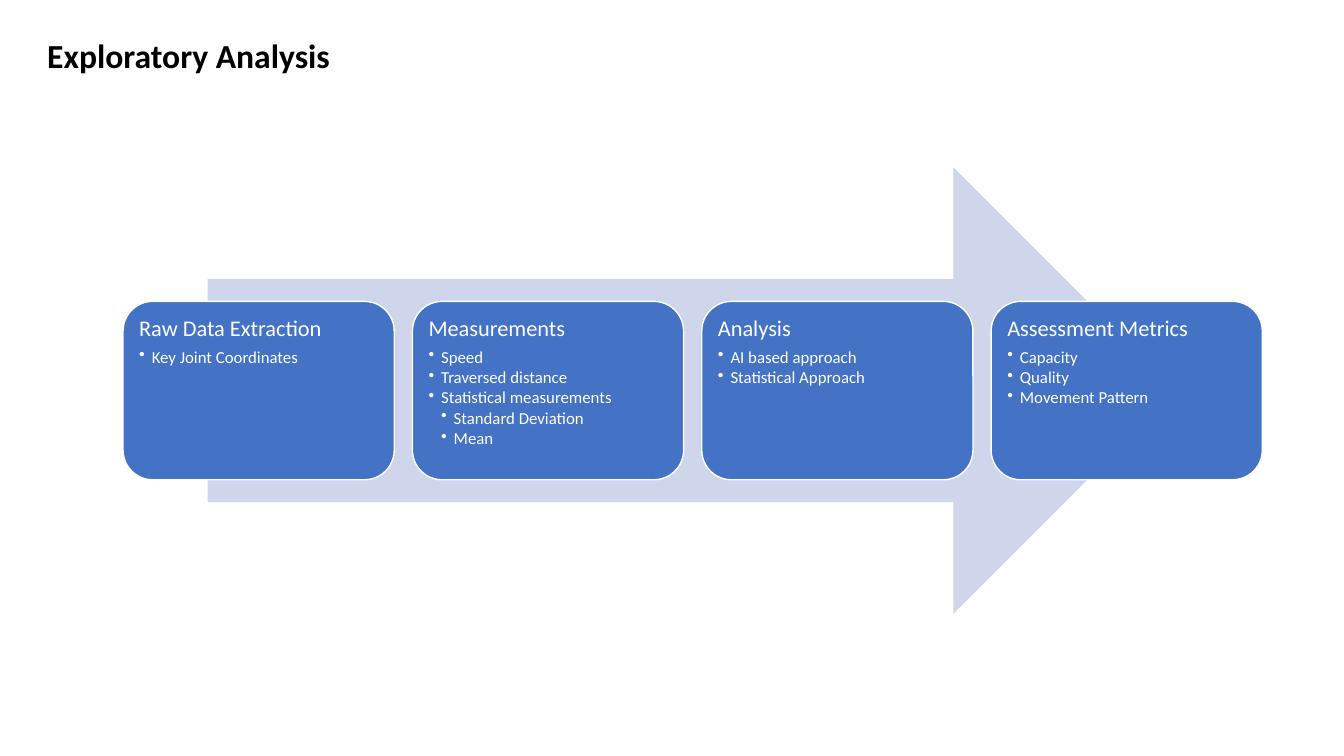
from dataclasses import dataclass

from lxml import etree
from pptx import Presentation
from pptx.dml.color import RGBColor
from pptx.enum import shapes, text
from pptx.oxml import ns
from pptx.util import Inches, Pt


@dataclass(frozen=True)
class Theme:
    font: str = "Calibri"
    black: RGBColor = RGBColor(0, 0, 0)
    white: RGBColor = RGBColor(0xFF, 0xFF, 0xFF)
    card: RGBColor = RGBColor(0x44, 0x72, 0xC4)
    arrow: RGBColor = RGBColor(0xCF, 0xD5, 0xEA)
    title_size: int = 24
    heading_size: int = 16
    bullet_size: int = 12


THEME = Theme()

# Each stage: heading, then (indent level, bullet text) pairs
STAGES = [
    ("Raw Data Extraction", [(1, "Key Joint Coordinates")]),
    ("Measurements", [
        (1, "Speed"),
        (1, "Traversed distance"),
        (1, "Statistical measurements"),
        (2, "Standard Deviation"),
        (2, "Mean"),
    ]),
    ("Analysis", [(1, "AI based approach"), (1, "Statistical Approach")]),
    ("Assessment Metrics", [(1, "Capacity"), (1, "Quality"), (1, "Movement Pattern")]),
]
CARD_LEFT, CARD_TOP, CARD_WIDTH, CARD_HEIGHT = 1.22, 2.99, 2.69, 1.77
CARD_PITCH = 2.87
CARD_PADDING = 0.09
TEXT_INSET = 0.07
BULLET_INDENT = 0.125


def format_runs(p, size, color, bold=False):
    for r in p.runs:
        r.font.name = THEME.font
        r.font.size = Pt(size)
        r.font.bold = bold
        r.font.color.rgb = color


def add_shape(s, kind, box, fill, line=None):
    sp = s.shapes.add_shape(kind, *map(Inches, box))
    sp.shadow.inherit = False
    sp.fill.solid()
    sp.fill.fore_color.rgb = fill
    if line is None:
        sp.line.fill.background()
    else:
        sp.line.color.rgb = line
        sp.line.width = Pt(1)


def add_text_frame(s, box):
    tf = s.shapes.add_textbox(*map(Inches, box)).text_frame
    tf.word_wrap = True
    return tf


def set_bullet(p, level):
    p.level = level
    pPr = p._p.get_or_add_pPr()
    pPr.set("marL", str(Inches(BULLET_INDENT * level)))
    pPr.set("indent", str(-Inches(BULLET_INDENT)))
    etree.SubElement(pPr, ns.qn("a:buChar")).set("char", "•")


def add_title(s, title):
    tf = add_text_frame(s, (0.37, 0.3, 7.42, 0.5))
    tf.auto_size = text.MSO_AUTO_SIZE.SHAPE_TO_FIT_TEXT
    tf.text = title
    format_runs(tf.paragraphs[0], THEME.title_size, THEME.black, bold=True)


def add_stage(s, left, heading, bullets):
    """Draw one rounded card with its heading and bullet list."""
    add_shape(s, shapes.MSO_SHAPE.ROUNDED_RECTANGLE,
              (left, CARD_TOP, CARD_WIDTH, CARD_HEIGHT), THEME.card, THEME.white)
    tf = add_text_frame(s, (left + CARD_PADDING, CARD_TOP + CARD_PADDING,
                            CARD_WIDTH - 2 * CARD_PADDING, CARD_HEIGHT - 2 * CARD_PADDING))
    tf.margin_left = tf.margin_right = Inches(TEXT_INSET)
    tf.margin_top = tf.margin_bottom = Inches(TEXT_INSET)
    tf.text = heading
    p = tf.paragraphs[0]
    p.line_spacing, p.space_after = 0.9, Pt(5)
    format_runs(p, THEME.heading_size, THEME.white)
    for level, item in bullets:
        p = tf.add_paragraph()
        p.text = item
        p.line_spacing, p.space_after = 0.9, Pt(1.6)
        set_bullet(p, level)
        format_runs(p, THEME.bullet_size, THEME.white)


def main():
    prs = Presentation()
    prs.slide_width, prs.slide_height = Inches(13.33), Inches(7.5)
    s = prs.slides.add_slide(prs.slide_layouts[6])
    add_title(s, "Exploratory Analysis")
    add_shape(s, shapes.MSO_SHAPE.RIGHT_ARROW, (2.06, 1.66, 9.61, 4.43), THEME.arrow)
    for i, (heading, bullets) in enumerate(STAGES):
        add_stage(s, CARD_LEFT + i * CARD_PITCH, heading, bullets)
    prs.save("out.pptx")


if __name__ == "__main__":
    main()
